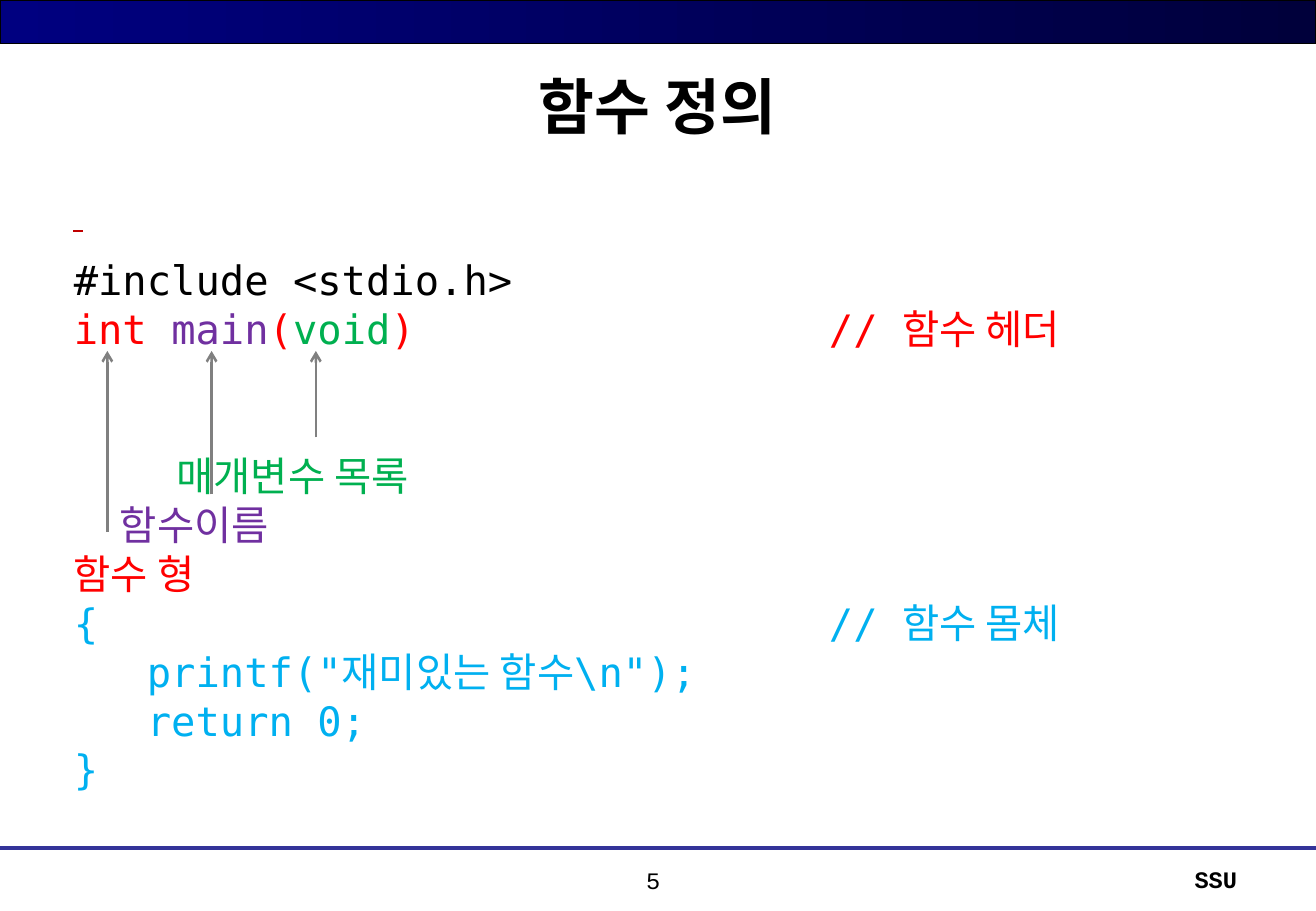
import pptx
import pptx.dml.color
import pptx.enum.shapes
import pptx.enum.text
import pptx.oxml.ns
import pptx.util
import lxml.etree

COLORS = {
    "black": "000000", "navy": "000080", "midnight": "00003B", "rule": "333399",
    "red": "FF0000", "dark red": "C00000", "purple": "7030A0", "green": "00B050",
    "blue": "00B0F0", "gray": "808080",
}
ALIGN = pptx.enum.text.PP_ALIGN
ANCHOR = pptx.enum.text.MSO_ANCHOR
HEADING_FONT = "Courier New"
CODE_FONT = "DejaVu Sans Mono"
KOREAN_FONT = "Noto Sans CJK KR"
CODE_SIZE = 24
LINE_PITCH = 29
COMMENT_COLUMN = 31


def color(name):
    return pptx.dml.color.RGBColor.from_string(COLORS[name])


def add_span(para, text, font=HEADING_FONT, size=14, ink="black", bold=False):
    span = para.add_run()
    span.text = text
    span.font.name = font
    span.font.size = pptx.util.Pt(size)
    span.font.bold = bold
    span.font.color.rgb = color(ink)
    east_asian = lxml.etree.Element(pptx.oxml.ns.qn("a:ea"), typeface=KOREAN_FONT)
    span.font._element.find(pptx.oxml.ns.qn("a:latin")).addnext(east_asian)


class Page:
    columns = 100
    rows = 100

    def __init__(self, deck):
        self.width = deck.slide_width
        self.height = deck.slide_height
        self.shapes = deck.slides.add_slide(deck.slide_layouts[6]).shapes

    def across(self, columns):
        return round(self.width * columns / self.columns)

    def down(self, rows):
        return round(self.height * rows / self.rows)

    def area(self, left, top, width, height):
        return self.across(left), self.down(top), self.across(width), self.down(height)

    def band(self, place, start, end):
        bar = self.shapes.add_shape(pptx.enum.shapes.MSO_SHAPE.RECTANGLE, *self.area(*place))
        bar.shadow.inherit = False
        bar.fill.gradient()
        bar.fill.gradient_angle = 0
        for stop, name in zip(bar.fill.gradient_stops, (start, end)):
            stop.color.rgb = color(name)
        bar.line.color.rgb = color("black")
        bar.line.width = pptx.util.Pt(0.75)

    def line(self, start, end, ink, weight, arrow=False):
        stroke = self.shapes.add_connector(
            pptx.enum.shapes.MSO_CONNECTOR.STRAIGHT,
            self.across(start[0]), self.down(start[1]),
            self.across(end[0]), self.down(end[1]))
        stroke.line.color.rgb = color(ink)
        stroke.line.width = pptx.util.Pt(weight)
        properties = stroke._element.spPr
        if arrow:
            outline = properties.find(pptx.oxml.ns.qn("a:ln"))
            lxml.etree.SubElement(outline, pptx.oxml.ns.qn("a:tailEnd"), type="arrow")
        lxml.etree.SubElement(properties, pptx.oxml.ns.qn("a:effectLst"))

    def frame(self, place, anchor=ANCHOR.TOP):
        box = self.shapes.add_textbox(*self.area(*place)).text_frame
        box.word_wrap = True
        box.vertical_anchor = anchor
        return box

    def label(self, place, text, align=ALIGN.CENTER, anchor=ANCHOR.TOP, **style):
        para = self.frame(place, anchor).paragraphs[0]
        para.alignment = align
        add_span(para, text, **style)

    def code(self, place, lines):
        box = self.frame(place)
        for number, (indent, skipped, spans) in enumerate(lines):
            para = box.add_paragraph() if number else box.paragraphs[0]
            para.line_spacing = pptx.util.Pt(LINE_PITCH)
            if skipped:
                para.space_before = pptx.util.Pt(skipped * LINE_PITCH)
            para._p.get_or_add_pPr().set("marL", str(self.across(indent)))
            for text, ink in spans:
                add_span(para, text, font=CODE_FONT, size=CODE_SIZE, ink=ink)


def main():
    deck = pptx.Presentation()
    deck.slide_width = pptx.util.Inches(10.84)
    deck.slide_height = pptx.util.Inches(7.5)
    page = Page(deck)

    page.band((0, 0, 100, 4.8), "navy", "midnight")
    page.line((0, 93.07), (100, 93.07), "rule", 2.5)
    page.label((4.98, 4.8, 89.94, 13.47), "함수 정의",
               anchor=ANCHOR.MIDDLE, size=36, bold=True)
    page.line((5.55, 25.37), (6.31, 25.37), "dark red", 1.5)

    header_end = ")".ljust(COMMENT_COLUMN - len("int main(void"))
    body_start = "{".ljust(COMMENT_COLUMN)
    page.code((4.7, 27.33, 90.22, 64.67), [
        (0, 0, [("#include <stdio.h>", "black")]),
        (0, 0, [("int ", "red"), ("main", "purple"), ("(", "red"), ("void", "green"),
                (header_end + "// 함수 헤더", "red")]),
        (7.8, 2, [("매개변수 목록", "green")]),
        (3.5, 0, [("함수이름", "purple")]),
        (0, 0, [("함수 형", "red")]),
        (0, 0, [(body_start + "// 함수 몸체", "blue")]),
        (0, 0, [("   printf(\"재미있는 함수\\n\");", "blue")]),
        (0, 0, [("   return 0;", "blue")]),
        (0, 0, [("}", "blue")]),
    ])

    page.label((71.03, 94.27, 23.89, 4.93), "SSU", align=ALIGN.RIGHT, bold=True)
    page.label((42.9, 94.4, 13.47, 4.93), "5")

    for index, foot in enumerate((58.4, 54.27, 48)):
        column = 8.16 + 7.92 * index
        page.line((column, foot), (column, 38.53), "gray", 1.5, arrow=True)

    deck.save("out.pptx")


if __name__ == "__main__":
    main()
